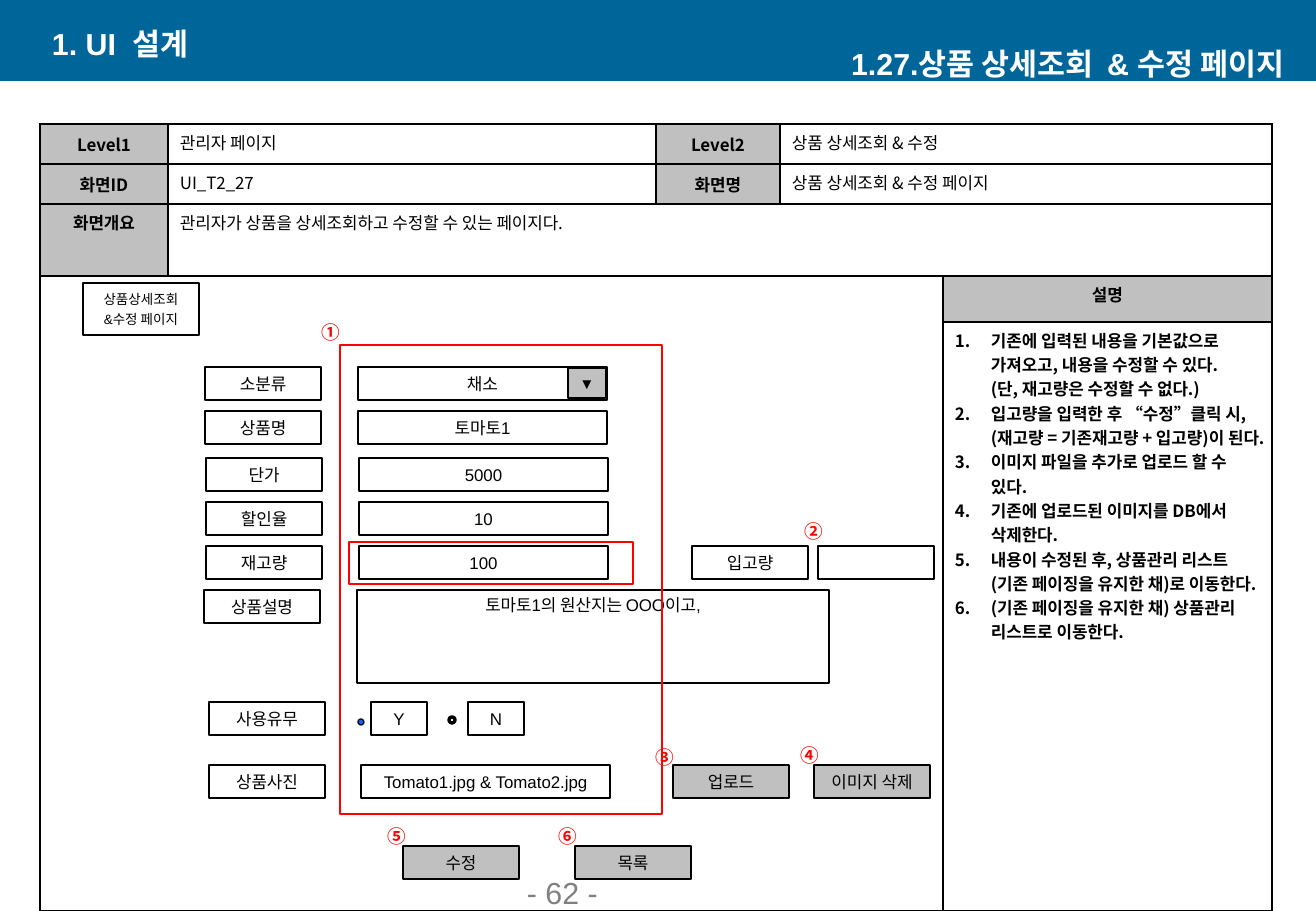
from lxml import etree
from pptx import Presentation
from pptx.dml.color import RGBColor
from pptx.enum.shapes import MSO_SHAPE
from pptx.enum.text import MSO_ANCHOR, MSO_AUTO_SIZE, PP_ALIGN
from pptx.oxml.ns import qn
from pptx.util import Pt

PX = 7526  # EMU in one px
SLIDE_W, SLIDE_H = 1316, 911
LATIN, KOREAN = "Arial", "Noto Sans CJK KR"

RECT, OVAL = MSO_SHAPE.RECTANGLE, MSO_SHAPE.OVAL
LEFT, CENTER, RIGHT = PP_ALIGN.LEFT, PP_ALIGN.CENTER, PP_ALIGN.RIGHT
TOP, MIDDLE = MSO_ANCHOR.TOP, MSO_ANCHOR.MIDDLE
NO_AUTOFIT = MSO_AUTO_SIZE.NONE

BLACK = RGBColor(0x00, 0x00, 0x00)
WHITE = RGBColor(0xFF, 0xFF, 0xFF)
GRAY = RGBColor(0xC0, 0xC0, 0xC0)
PAGE_GRAY = RGBColor(0x80, 0x80, 0x80)
RED = RGBColor(0xFF, 0x00, 0x00)
TEAL = RGBColor(0x00, 0x66, 0x99)
BLUE = RGBColor(0x00, 0x66, 0xFF)

COLUMNS = [128, 488, 124, 163, 329]
ROWS = [40, 40, 72, 46, 589]
MERGES = [(0, 3, 0, 4), (1, 3, 1, 4), (2, 1, 2, 4), (3, 0, 4, 3)]
HEADERS = {
    (0, 0): "Level1", (0, 2): "Level2",
    (1, 0): "화면ID", (1, 2): "화면명",
    (2, 0): "화면개요", (3, 4): "설명",
}
VALUES = {
    (0, 1): "관리자 페이지", (0, 3): "상품 상세조회 & 수정",
    (1, 1): "UI_T2_27", (1, 3): "상품 상세조회 & 수정 페이지",
    (2, 1): "관리자가 상품을 상세조회하고 수정할 수 있는 페이지다.",
}
DESCRIPTION = [
    "기존에 입력된 내용을 기본값으로 가져오고, 내용을 수정할 수 있다.\v(단, 재고량은 수정할 수 없다.)",
    "입고량을 입력한 후 “수정”클릭 시, (재고량 = 기존재고량 + 입고량)이 된다.",
    "이미지 파일을 추가로 업로드 할 수 있다.",
    "기존에 업로드된 이미지를 DB에서 삭제한다.",
    "내용이 수정된 후, 상품관리 리스트(기존 페이징을 유지한 채)로 이동한다.",
    "(기존 페이징을 유지한 채) 상품관리 리스트로 이동한다.",
]

LABEL_W, INPUT_W, FIELD_H = 116, 249, 33
LABELS = [
    (205, 367, "소분류"), (205, 411, "상품명"), (206, 458, "단가"),
    (206, 502, "할인율"), (206, 546, "재고량"), (204, 590, "상품설명"),
    (209, 702, "사용유무"), (209, 765, "상품사진"), (692, 546, "입고량"),
    (818, 546, ""),
]
INPUTS = [
    (358, 367, "채소"), (358, 411, "토마토1"), (359, 458, "5000"),
    (359, 502, "10"), (359, 546, "100"), (361, 765, "Tomato1.jpg & Tomato2.jpg"),
]
BUTTONS = [
    (673, 765, "업로드"), (814, 765, "이미지 삭제"),
    (403, 846, "수정"), (575, 846, "목록"),
]
MARKERS = [
    (310, 315, "①"), (793, 514, "②"), (644, 740, "③"),
    (789, 738, "④"), (376, 819, "⑤"), (547, 819, "⑥"),
]


class Wireframe:
    def __init__(self, slide):
        self.slide = slide

    def put_text(self, frame, text, size, color=BLACK, bold=False, align=CENTER,
                 font=LATIN, gap=0):
        """Fill a text frame, one paragraph a line, and format its runs."""
        frame.text = text
        for index, paragraph in enumerate(frame.paragraphs):
            paragraph.alignment = align
            if index and gap:
                paragraph.space_before = Pt(gap)
            for run in paragraph.runs:
                run.font.name = font
                run.font.size = Pt(size)
                run.font.bold = bold
                run.font.color.rgb = color
                east_asian = etree.SubElement(run._r.get_or_add_rPr(), qn("a:ea"))
                east_asian.set("typeface", KOREAN)

    def fit(self, frame, left=0, top=0, right=0, anchor=MIDDLE):
        frame.word_wrap = True
        frame.auto_size = NO_AUTOFIT
        frame.vertical_anchor = anchor
        frame.margin_left, frame.margin_right = left * PX, right * PX
        frame.margin_top, frame.margin_bottom = top * PX, 0

    def title(self, x, y, w, h, text):
        title = self.slide.shapes.title
        title.left, title.top, title.width, title.height = (
            v * PX for v in (x, y, w, h))
        self.fit(title.text_frame, right=32)
        self.put_text(title.text_frame, text, 18, WHITE, True, RIGHT)

    def text(self, x, y, w, h, text, size, color, inset=0, **style):
        box = self.slide.shapes.add_textbox(x * PX, y * PX, w * PX, h * PX)
        self.fit(box.text_frame, left=inset)
        self.put_text(box.text_frame, text, size, color, **style)

    def shape(self, x, y, w, h, text="", size=10, fill=None, line=BLACK,
              line_width=0.75, kind=RECT, anchor=MIDDLE, top=0, gap=0):
        shape = self.slide.shapes.add_shape(kind, x * PX, y * PX, w * PX, h * PX)
        shape.shadow.inherit = False
        if fill is None:
            shape.fill.background()
        else:
            shape.fill.solid()
            shape.fill.fore_color.rgb = fill
        if line is None:
            shape.line.fill.background()
        else:
            shape.line.color.rgb = line
            shape.line.width = Pt(line_width)
        if text:
            self.fit(shape.text_frame, top=top, anchor=anchor)
            self.put_text(shape.text_frame, text, size, gap=gap)
        return shape

    def header_bar(self):
        bar = self.shape(0, 0, SLIDE_W, 81, fill=TEAL, line=None)
        self.slide.shapes.title.element.addprevious(bar.element)

    def cell_border(self, cell):
        properties = cell._tc.get_or_add_tcPr()
        for index, side in enumerate(("a:lnL", "a:lnR", "a:lnT", "a:lnB")):
            border = etree.Element(qn(side), w=str(Pt(1)))
            fill = etree.SubElement(border, qn("a:solidFill"))
            etree.SubElement(fill, qn("a:srgbClr"), val=str(BLACK))
            properties.insert(index, border)

    def number(self, paragraph):
        properties = paragraph._p.get_or_add_pPr()
        properties.set("marL", str(36 * PX))
        properties.set("indent", str(-36 * PX))
        etree.SubElement(properties, qn("a:buFont"), typeface="+mj-lt")
        etree.SubElement(properties, qn("a:buAutoNum"), type="arabicPeriod")

    def spec_table(self, x, y):
        table = self.slide.shapes.add_table(
            len(ROWS), len(COLUMNS), x * PX, y * PX,
            sum(COLUMNS) * PX, sum(ROWS) * PX).table
        for column, width in zip(table.columns, COLUMNS):
            column.width = width * PX
        for row, height in zip(table.rows, ROWS):
            row.height = height * PX
        for top, left, bottom, right in MERGES:
            table.cell(top, left).merge(table.cell(bottom, right))
        for cell in table.iter_cells():
            cell.fill.background()
            self.cell_border(cell)
            cell.margin_left = cell.margin_right = 12 * PX
            cell.margin_top = cell.margin_bottom = 6 * PX
        for (row, column), text in HEADERS.items():
            cell = table.cell(row, column)
            cell.fill.solid()
            cell.fill.fore_color.rgb = GRAY
            cell.vertical_anchor = MIDDLE if row < 2 else TOP
            self.put_text(cell.text_frame, text, 10, bold=True, font=KOREAN)
        for position, text in VALUES.items():
            self.put_text(table.cell(*position).text_frame, text, 10, align=LEFT, font=KOREAN)
        notes = table.cell(4, 4).text_frame
        self.put_text(notes, "\n".join(DESCRIPTION), 10, bold=True, align=LEFT, font=KOREAN)
        for paragraph in notes.paragraphs:
            self.number(paragraph)


def main():
    deck = Presentation()
    deck.slide_width, deck.slide_height = SLIDE_W * PX, SLIDE_H * PX
    page = Wireframe(deck.slides.add_slide(deck.slide_layouts[5]))

    page.header_bar()
    page.title(784, 43, 532, 40, "1.27.상품 상세조회  & 수정 페이지")
    page.text(40, 23, 532, 40, "1. UI  설계", 18, WHITE, inset=12, bold=True, align=LEFT)
    page.spec_table(40, 124)

    page.shape(83, 283, 116, 52, "상품상세조회\n&수정 페이지", size=8, gap=2)
    for x, y, label in LABELS:
        page.shape(x, y, LABEL_W, FIELD_H, label)
    for x, y, value in INPUTS:
        page.shape(x, y, INPUT_W, FIELD_H, value)
    page.shape(568, 368, 38, 30, "▼", size=9, fill=GRAY)
    page.shape(357, 590, 472, 93, "토마토1의 원산지는 OOO이고,", anchor=TOP, top=5)
    for x, y, action in BUTTONS:
        page.shape(x, y, LABEL_W, FIELD_H, action, fill=GRAY)

    for x, choice in ((371, "Y"), (468, "N")):
        page.shape(x, 702, 56, FIELD_H, choice)
    page.shape(358, 719, 6, 6, fill=BLUE, kind=OVAL)
    page.shape(449, 717, 6, 6, fill=WHITE, line_width=2, kind=OVAL)

    page.shape(340, 345, 322, 469, line=RED, line_width=1)
    page.shape(349, 542, 284, 42, line=RED, line_width=1)
    for x, y, marker in MARKERS:
        page.text(x, y, 41, 35, marker, 11, RED, bold=True, font=KOREAN)

    page.text(515, 876, 275, 32, "- 62 -", 18, PAGE_GRAY, inset=12, align=LEFT)
    deck.save("out.pptx")


if __name__ == "__main__":
    main()
